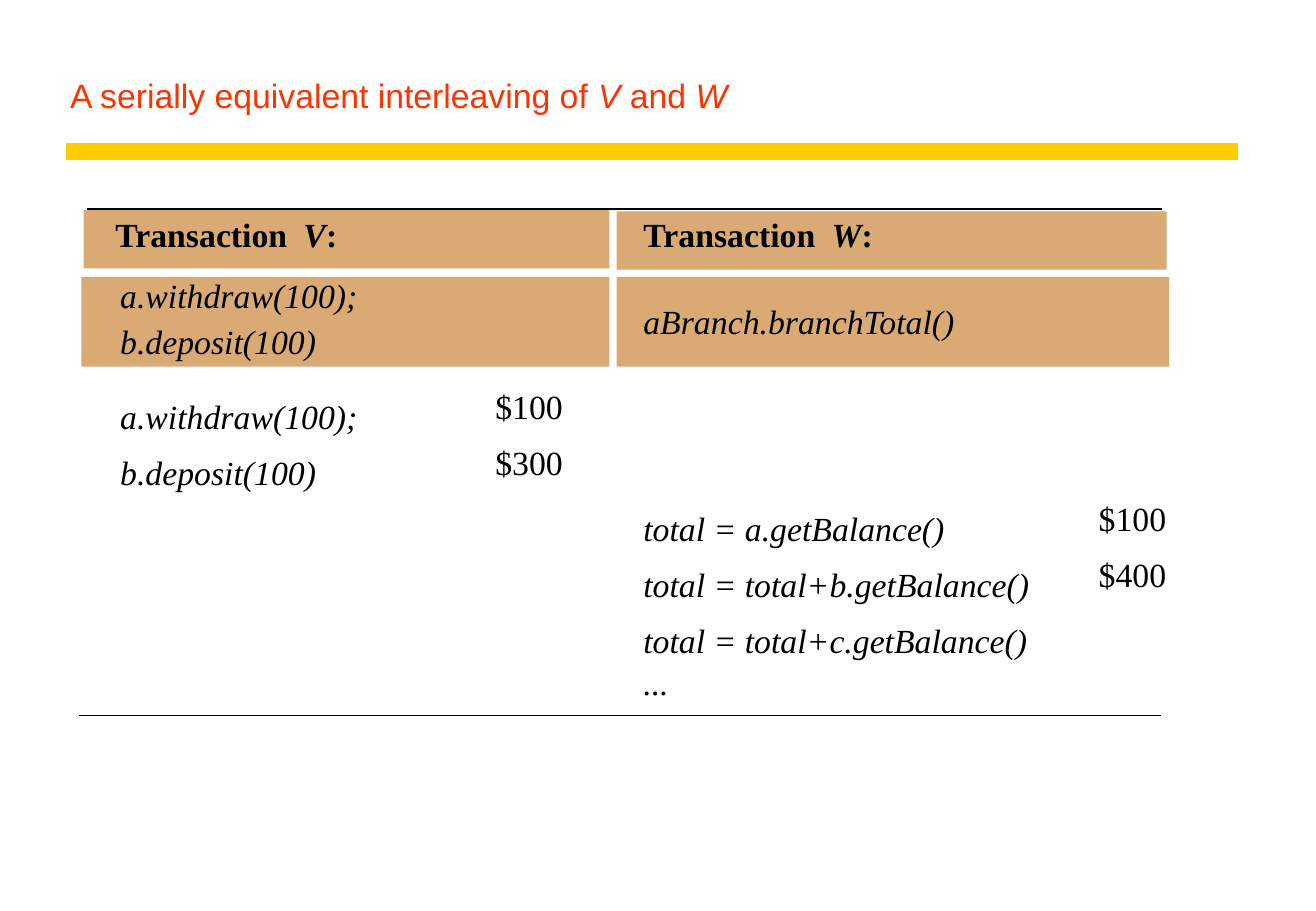
from collections import namedtuple

from lxml import etree
from pptx import Presentation
from pptx.dml.color import RGBColor
from pptx.enum.shapes import MSO_CONNECTOR, MSO_SHAPE
from pptx.enum.text import MSO_ANCHOR
from pptx.oxml.ns import qn
from pptx.util import Pt

PX = 9144  # 100 px to the inch
STRAIGHT = MSO_CONNECTOR.STRAIGHT
RECTANGLE = MSO_SHAPE.RECTANGLE
TOP, BOTTOM = MSO_ANCHOR.TOP, MSO_ANCHOR.BOTTOM

COLORS = {"title": "FF3300", "rule": "FFCC00", "panel": "D9AA73", "ink": "000000"}
SANS, SERIF = "Arial", "Times New Roman"
LINE_HEIGHT = 33
ROW_PITCH = 46
AMOUNT_RISE = 8

Box = namedtuple("Box", "left top width height")


def color(name):
    return RGBColor.from_string(COLORS[name])


def add_text(page, box, runs, font=SERIF, ink="ink", bold=False, inset=(0, 0),
             anchor=TOP, wrap=False):
    """Write one line from (text, italic) runs."""
    frame = page.shapes.add_textbox(*(n * PX for n in box)).text_frame
    frame.word_wrap = wrap
    frame.vertical_anchor = anchor
    frame.margin_left = frame.margin_right = inset[0] * PX
    frame.margin_top = frame.margin_bottom = inset[1] * PX
    para = frame.paragraphs[0]
    for text, italic in runs:
        span = para.add_run()
        span.text = text
        span.font.name = font
        span.font.size = Pt(20)
        span.font.bold = bold
        span.font.italic = italic
        span.font.color.rgb = color(ink)


def add_rule(page, left, right, top, ink, points):
    rule = page.shapes.add_connector(
        STRAIGHT, left * PX, top * PX, right * PX, top * PX)
    rule.line.color.rgb = color(ink)
    rule.line.width = Pt(points)
    etree.SubElement(rule._element.spPr, qn("a:effectLst"))


def add_panel(page, box):
    panel = page.shapes.add_shape(RECTANGLE, *(n * PX for n in box))
    panel.shadow.inherit = False
    panel.fill.solid()
    panel.fill.fore_color.rgb = color("panel")
    panel.line.fill.background()


def add_title(page, box):
    runs = [("A serially equivalent interleaving of ", False), ("V", True),
            (" and ", False), ("W", True)]
    add_text(page, box, runs, font=SANS, ink="title", inset=(10, 5),
             anchor=BOTTOM, wrap=True)
    add_rule(page, box.left + 6, box.left + box.width, box.top + 100, "rule", 10)


def add_transaction(page, box, name, header, label_left, code_left, amount_left,
                    calls, steps):
    """Draw one column; calls are (text, top) and steps (text, amount, row)."""
    add_panel(page, header)
    add_panel(page, Box(box.left, box.top + 56, box.width, 74))

    def write(text_left, top, width, runs, bold=False):
        line = Box(box.left + text_left, box.top + top, width, LINE_HEIGHT)
        add_text(page, line, runs, bold=bold)

    write(label_left, 4, 151, [("Transaction", False)], bold=True)
    write(label_left + 155, 4, 36, [(name, True), (":", False)], bold=True)
    for text, top in calls:
        write(code_left, top, 270, [(text, True)])
    for text, amount, row in steps:
        top = 154 + row * ROW_PITCH
        write(code_left, top, 340, [(text, True)])
        if amount:
            write(amount_left, top - AMOUNT_RISE, 58, [(amount, False)])


def add_schedule(page, box):
    add_transaction(
        page, Box(box.left + 2, box.top, 435, box.height), "V",
        header=Box(box.left + 4, box.top + 1, 433, 48),
        label_left=28, code_left=32, amount_left=341,
        calls=[("a.withdraw(100);", 54), ("b.deposit(100)", 92)],
        steps=[("a.withdraw(100);", "$100", 0), ("b.deposit(100)", "$300", 1)])
    add_transaction(
        page, Box(box.left + 443, box.top, 455, box.height), "W",
        header=Box(box.left + 443, box.top + 2, 453, 48),
        label_left=22, code_left=22, amount_left=397,
        calls=[("aBranch.branchTotal()", 76)],
        steps=[("total = a.getBalance()", "$100", 2),
               ("total = total+b.getBalance()", "$400", 3),
               ("total = total+c.getBalance()", None, 4),
               ("...", None, 4.75)])
    right = box.left + 892
    add_rule(page, box.left + 7, right, box.top, "ink", 0.75)
    add_rule(page, box.left, right - 1, box.top + box.height, "ink", 0.75)


def main():
    deck = Presentation()
    deck.slide_width, deck.slide_height = 1084 * PX, 750 * PX
    page = deck.slides.add_slide(deck.slide_layouts[6])
    add_title(page, Box(48, 25, 972, 75))
    add_schedule(page, Box(65, 172, 898, 417))
    deck.save("out.pptx")


if __name__ == "__main__":
    main()
